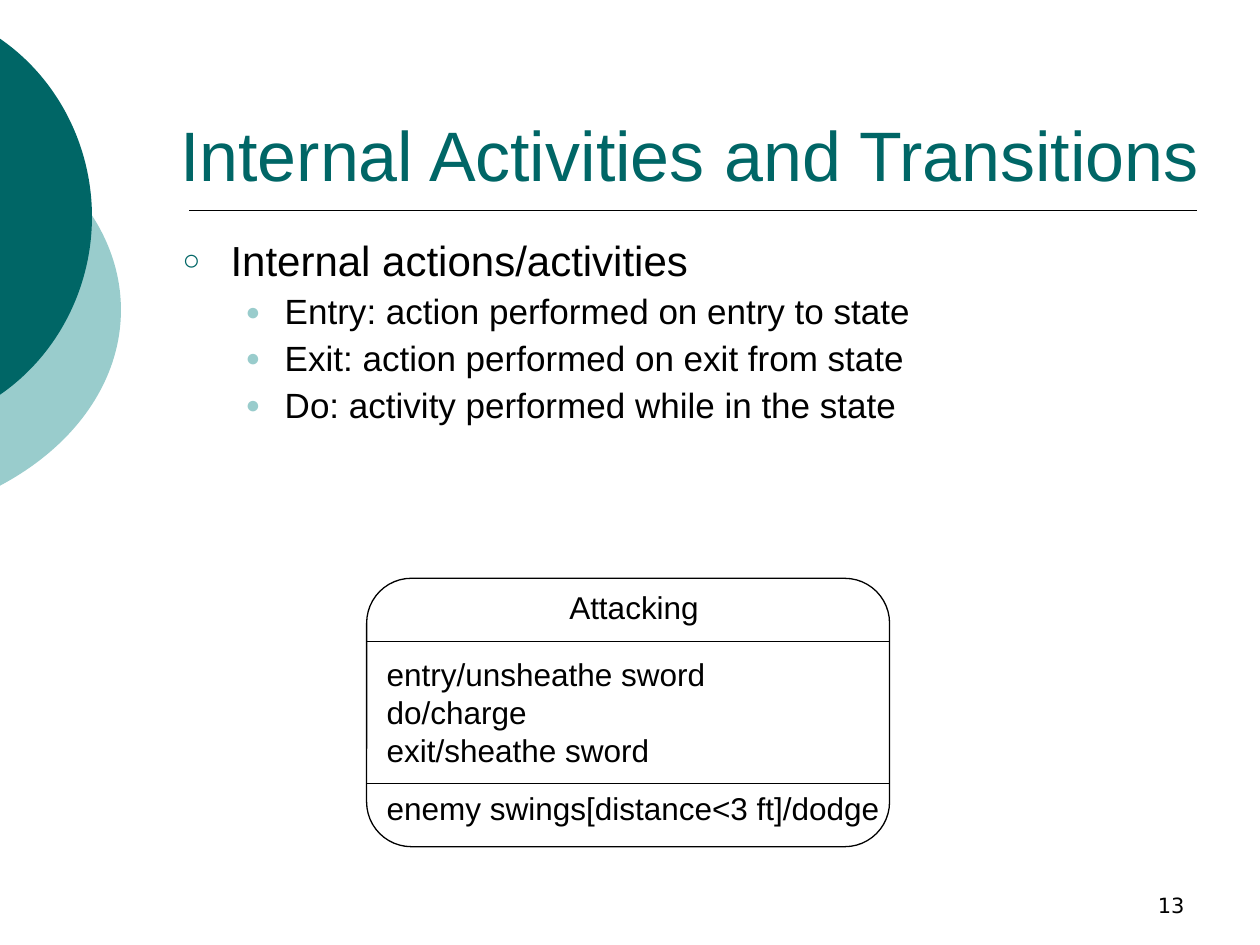
from dataclasses import dataclass

from lxml.etree import SubElement as Sub
from pptx import Presentation
from pptx.dml.color import RGBColor as RGB
from pptx.enum.shapes import MSO_CONNECTOR as Conn, MSO_SHAPE as Shape
from pptx.enum.text import MSO_ANCHOR as Anchor, MSO_AUTO_SIZE as Fit, PP_ALIGN as Align
from pptx.oxml.ns import qn
from pptx.util import Emu, Pt

PX = 9144


@dataclass(frozen=True)
class Theme:
    """Colours, fonts and type sizes of the slide."""
    dark: str = "006666"
    light: str = "99CCCC"
    ink: str = "000000"
    font: str = "Arial"
    mono: str = "DejaVu Sans"
    title: int = 40
    body: int = 24
    sub: int = 20
    state: int = 18
    page: int = 12


THEME = Theme()


def px(*vals):
    """Turn px lengths into EMU."""
    return [Emu(v * PX) for v in vals]


def style(para, text, size, color=THEME.ink, font=THEME.font, align=Align.LEFT):
    """Write one paragraph in one look."""
    para.text, para.alignment = text, align
    para.font.size, para.font.name = Pt(size), font
    para.font.color.rgb = RGB.from_string(color)


def move(shape, box):
    """Place a shape in a box."""
    shape.left, shape.top, shape.width, shape.height = px(*box)


def label(slide, box, lines, size, wrap=False, **look):
    """Add a text box with one paragraph for each line."""
    frame = slide.shapes.add_textbox(*px(*box)).text_frame
    frame.word_wrap = wrap
    for i, text in enumerate(lines):
        para = frame.add_paragraph() if i else frame.paragraphs[0]
        style(para, text, size, **look)
    return frame


def rule(slide, left, top, width, weight):
    """Draw a level line."""
    line = slide.shapes.add_connector(Conn.STRAIGHT, *px(left, top, left + width, top))
    line.line.color.rgb = RGB.from_string(THEME.ink)
    line.line.width = Pt(weight)
    Sub(line._element.spPr, qn("a:effectLst"))


def disc(slide, box, color, mid, curve):
    """Draw a disc segment from the upper half of its curve, mirrored at mid."""
    left, top, width, height = box
    pen = slide.shapes.build_freeform(left, top, scale=PX)
    pen.add_line_segments([(left + width, top), (left + width, top + height)])
    shape = pen.convert_to_shape()
    route = shape._element.spPr.find(".//" + qn("a:path"))
    for step in list(route):
        route.remove(step)
    lower = [(x, 2 * mid - y) for x, y in reversed(curve[:-1])]
    for tag, dots in (("moveTo", curve[:1]), ("cubicBezTo", curve[1:]), ("cubicBezTo", lower)):
        step = Sub(route, qn("a:" + tag))
        for x, y in dots:
            Sub(step, qn("a:pt"), x=str(x - left), y=str(y - top))
    Sub(route, qn("a:close"))
    shape.shadow.inherit = False
    shape.fill.solid()
    shape.fill.fore_color.rgb = RGB.from_string(color)
    shape.line.fill.background()


def head(slide, box, text):
    """Fill the title and underline it."""
    left, top, width, height = box
    shape = slide.shapes.title
    move(shape, box)
    frame = shape.text_frame
    frame.auto_size, frame.vertical_anchor = Fit.NONE, Anchor.BOTTOM
    style(frame.paragraphs[0], text, THEME.title, THEME.dark)
    rule(slide, left + 17, top + height + 7, 800, 1)


def bullet(para, mark, color, indent, hang):
    """Give a paragraph a coloured bullet and a hanging indent."""
    props = para._p.get_or_add_pPr()
    props.set("marL", str(indent * PX))
    props.set("indent", str(-hang * PX))
    Sub(Sub(props, qn("a:buClr")), qn("a:srgbClr"), val=color)
    Sub(props, qn("a:buSzPct"), val="70000")
    Sub(props, qn("a:buFont"), typeface=THEME.font)
    Sub(props, qn("a:buChar"), char=mark)


def points(slide, box, items):
    """Fill the body with (level, text) items."""
    looks = [(THEME.body, 6, "○", THEME.dark, 38, 38),
             (THEME.sub, 5, "●", THEME.light, 81, 31)]
    shape = slide.placeholders[1]
    move(shape, box)
    frame = shape.text_frame
    frame.auto_size = Fit.NONE
    for i, (level, text) in enumerate(items):
        size, gap, *mark = looks[level]
        para = frame.add_paragraph() if i else frame.paragraphs[0]
        style(para, text, size)
        para.level, para.line_spacing, para.space_before = level, 0.9, Pt(gap)
        bullet(para, *mark)


def state(slide, box, name, lines):
    """Draw a state with its name, its activities and a last transition."""
    left, top, width, height = box
    shape = slide.shapes.add_shape(Shape.ROUNDED_RECTANGLE, *px(*box))
    shape.shadow.inherit = False
    shape.fill.background()
    shape.line.color.rgb = RGB.from_string(THEME.ink)
    shape.line.width = Pt(0.75)
    label(slide, (left + 151, top + 3, 123, 40), [name], THEME.state)
    frame = label(slide, (left + 6, top + 56, 411, 147), lines, THEME.state)
    frame.paragraphs[-1].space_before = Pt(12)
    for y in (50, height - 50):
        rule(slide, left, top + y, width, 0.75)


def main():
    """Build and save the slide."""
    deck = Presentation()
    deck.slide_width, deck.slide_height = px(1000, 750)
    slide = deck.slides.add_slide(deck.slide_layouts[1])
    disc(slide, (-354, 75, 450, 342), THEME.light, 246,
         [(-1, 106), (60, 138), (96, 190), (96, 246)])
    disc(slide, (-265, 0, 338, 345), THEME.dark, 172,
         [(-1, 30), (46, 62), (73, 116), (73, 172)])
    head(slide, (133, 35, 850, 125), "Internal Activities and Transitions")
    points(slide, (135, 186, 805, 244), [
        (0, "Internal actions/activities"),
        (1, "Entry: action performed on entry to state"),
        (1, "Exit: action performed on exit from state"),
        (1, "Do: activity performed while in the state")])
    state(slide, (291, 459, 415, 213), "Attacking", [
        "entry/unsheathe sword", "do/charge", "exit/sheathe sword",
        "enemy swings[distance<3 ft]/dodge"])
    page = label(slide, (717, 683, 233, 50), ["13"], THEME.page, wrap=True,
                 font=THEME.mono, align=Align.RIGHT)
    page.vertical_anchor = Anchor.BOTTOM
    deck.save("out.pptx")


if __name__ == "__main__":
    main()
